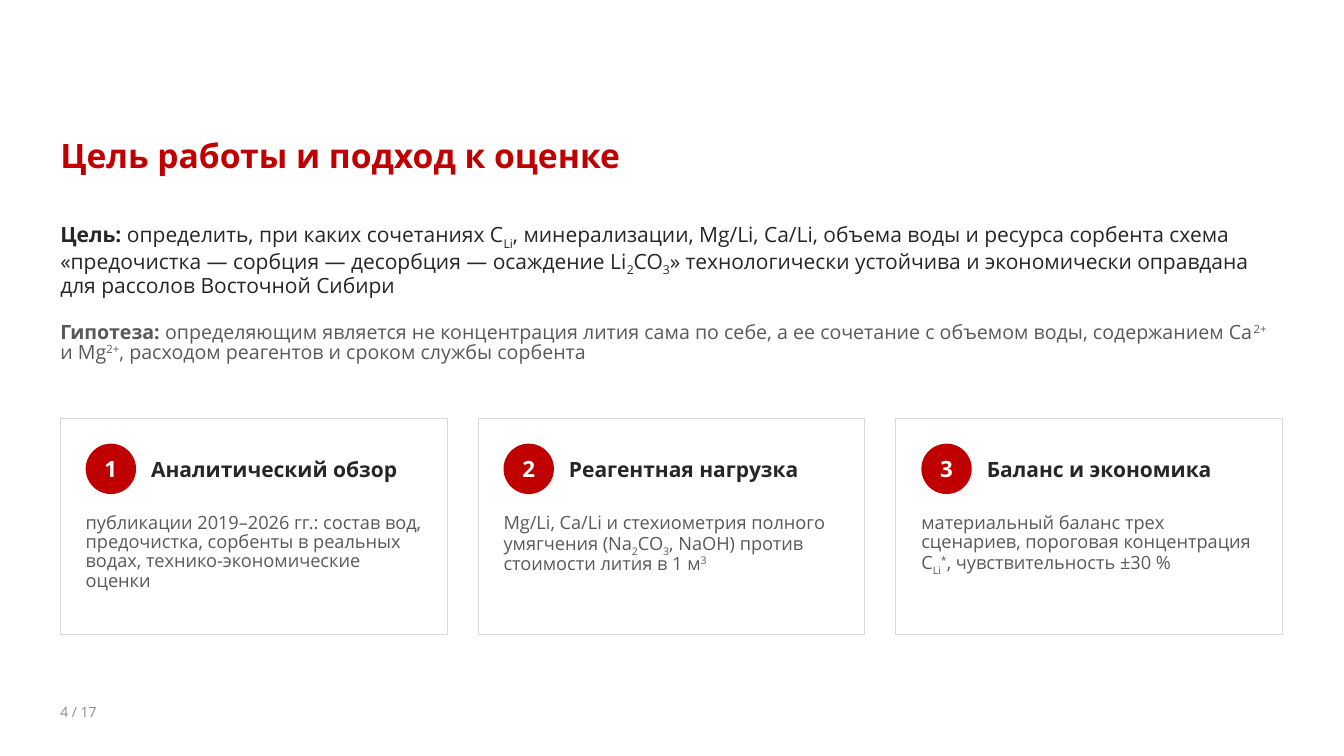
import pptx
import pptx.dml.color
import pptx.enum.shapes
import pptx.enum.text
import pptx.util

Cm = pptx.util.Cm
Pt = pptx.util.Pt
ANCHOR = pptx.enum.text.MSO_ANCHOR
ALIGN = pptx.enum.text.PP_ALIGN
SHAPE = pptx.enum.shapes.MSO_SHAPE

RED, INK, GREY, PALE = "C00000", "262626", "595959", "8C8C8C"
WHITE, BORDER = "FFFFFF", "D9D9D9"
BASELINES = {"_": "-25000", "^": "30000"}


def color(hex_code):
    return pptx.dml.color.RGBColor.from_string(hex_code)


def write(frame, text, size=13, fill=GREY, bold=False, align=ALIGN.LEFT,
          anchor=ANCHOR.TOP, spacing=None, font="Open Sans"):
    """Fill a frame; "|" splits runs, a leading _ lowers, ^ raises, ! makes bold."""
    frame.word_wrap = True
    frame.auto_size = pptx.enum.text.MSO_AUTO_SIZE.NONE
    frame.vertical_anchor = anchor
    frame.margin_left = frame.margin_right = 0
    frame.margin_top = frame.margin_bottom = 0
    paragraph = frame.paragraphs[0]
    paragraph.alignment = align
    paragraph.line_spacing = spacing
    for piece in text.split("|"):
        mark = piece[0] if piece[0] in "_^!" else ""
        run = paragraph.add_run()
        run.text = piece[len(mark):]
        run.font.name = font
        run.font.size = Pt(size)
        run.font.bold = bold or mark == "!"
        run.font.color.rgb = color(fill)
        if mark in BASELINES:
            run.font._element.set("baseline", BASELINES[mark])


class Deck:
    def __init__(self, width, height):
        self.file = pptx.Presentation()
        self.file.slide_width, self.file.slide_height = Cm(width), Cm(height)
        self.slide = None

    def title(self, text, left, top, width, height, **style):
        self.slide = self.file.slides.add_slide(self.file.slide_layouts[5])
        heading = self.slide.shapes.title
        heading.left, heading.top = Cm(left), Cm(top)
        heading.width, heading.height = Cm(width), Cm(height)
        write(heading.text_frame, text, **style)

    def text(self, text, left, top, width, height, **style):
        box = self.slide.shapes.add_textbox(Cm(left), Cm(top), Cm(width), Cm(height))
        write(box.text_frame, text, **style)

    def shape(self, kind, left, top, width, height, fill, line=None):
        figure = self.slide.shapes.add_shape(
            kind, Cm(left), Cm(top), Cm(width), Cm(height))
        figure.shadow.inherit = False
        figure.fill.solid()
        figure.fill.fore_color.rgb = color(fill)
        if line:
            figure.line.color.rgb = color(line)
            figure.line.width = Pt(0.75)
        else:
            figure.line.fill.background()
        return figure

    def card(self, number, heading, body, left, top, width, height):
        pad, badge_size = 0.64, 1.27
        inner, row = left + pad, top + pad
        self.shape(SHAPE.RECTANGLE, left, top, width, height, WHITE, BORDER)
        badge = self.shape(SHAPE.OVAL, inner, row, badge_size, badge_size, RED)
        write(badge.text_frame, str(number), size=16, fill=WHITE, bold=True,
              align=ALIGN.CENTER, anchor=ANCHOR.MIDDLE)
        self.text(heading, left + 2.29, row, 6.96, badge_size, size=15, fill=INK,
                  bold=True, anchor=ANCHOR.MIDDLE)
        self.text(body, inner, top + 2.41, width - 2 * pad, 2.67, spacing=0.88)


MARGIN, CONTENT_WIDTH = 1.52, 30.81
CARD_WIDTH, CARD_PITCH = 9.75, 10.53
CARDS = [
    ("Аналитический обзор",
     "публикации 2019–2026 гг.: состав вод, предочистка, сорбенты в реальных "
     "водах, технико-экономические оценки"),
    ("Реагентная нагрузка",
     "Mg/Li, Ca/Li и стехиометрия полного умягчения (Na|_2|CO|_3|, NaOH) против "
     "стоимости лития в 1 м|^3"),
    ("Баланс и экономика",
     "материальный баланс трех сценариев, пороговая концентрация "
     "C|_Li|^*|, чувствительность ±30 %"),
]


def main():
    deck = Deck(33.87, 19.05)

    # Title and page number
    deck.title("Цель работы и подход к оценке", MARGIN, 3.51, CONTENT_WIDTH, 1.78,
               size=24, fill=RED, bold=True, spacing=0.9)
    deck.text("4 / 17", MARGIN, 17.73, 3.81, 0.64, size=10, fill=PALE)

    # Goal and hypothesis
    deck.text("!Цель:| определить, при каких сочетаниях C|_Li|, минерализации, Mg/Li, "
              "Ca/Li, объема воды и ресурса сорбента схема «предочистка — сорбция — "
              "десорбция — осаждение Li|_2|CO|_3|» технологически устойчива и "
              "экономически оправдана для рассолов Восточной Сибири",
              MARGIN, 5.59, CONTENT_WIDTH, 2.41, size=15, fill=INK, spacing=0.92)
    deck.text("!Гипотеза:| определяющим является не концентрация лития сама по себе, "
              "а ее сочетание с объемом воды, содержанием Ca|^2+| и Mg|^2+|, расходом "
              "реагентов и сроком службы сорбента",
              MARGIN, 8.13, CONTENT_WIDTH, 1.78, size=14, spacing=0.88)

    # Three steps of the assessment
    for index, (heading, body) in enumerate(CARDS):
        deck.card(index + 1, heading, body, MARGIN + index * CARD_PITCH, 10.54,
                  CARD_WIDTH, 5.46)

    deck.file.save("out.pptx")


if __name__ == "__main__":
    main()
